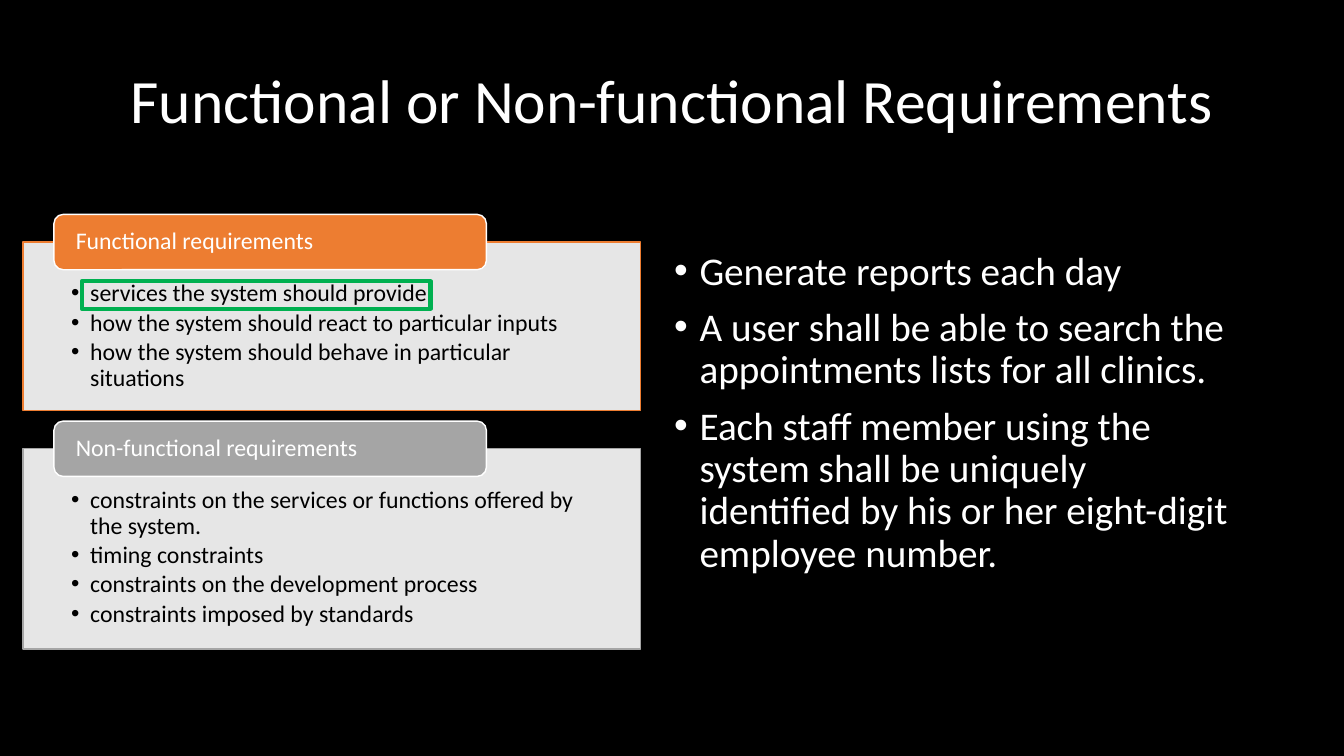
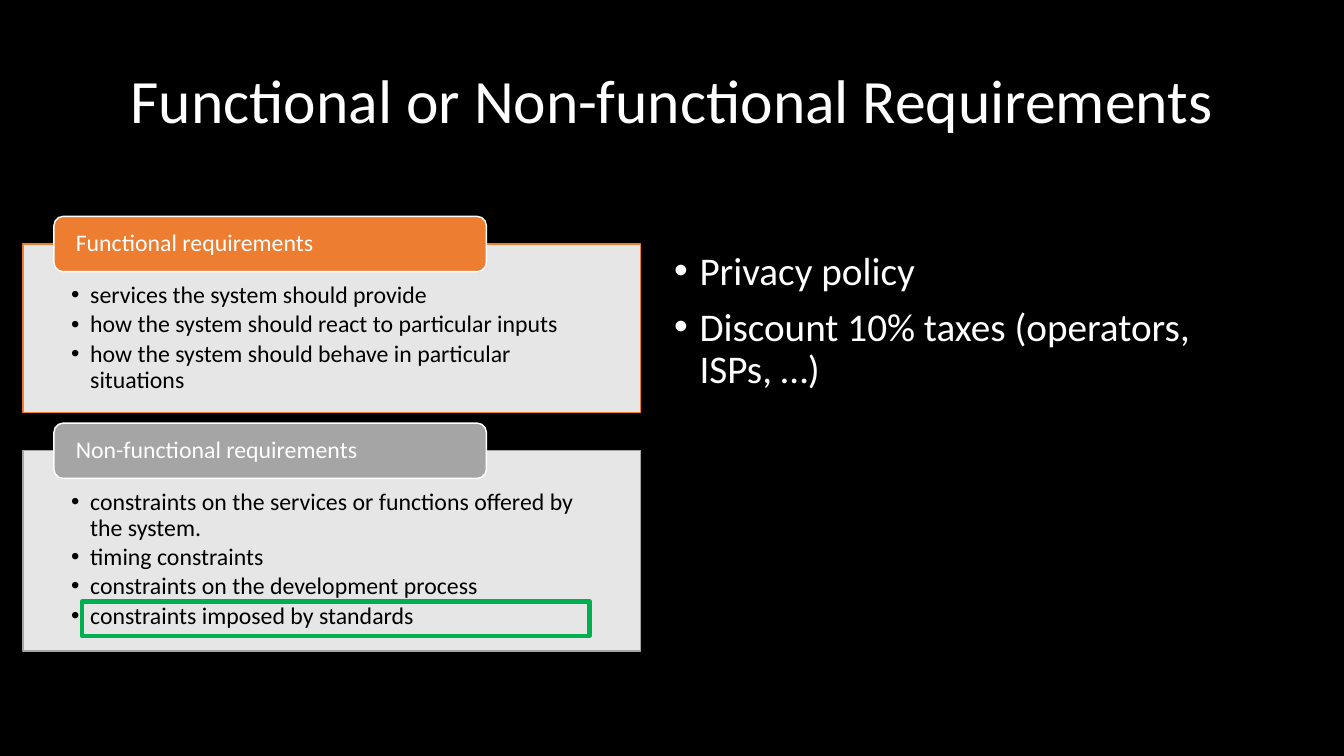
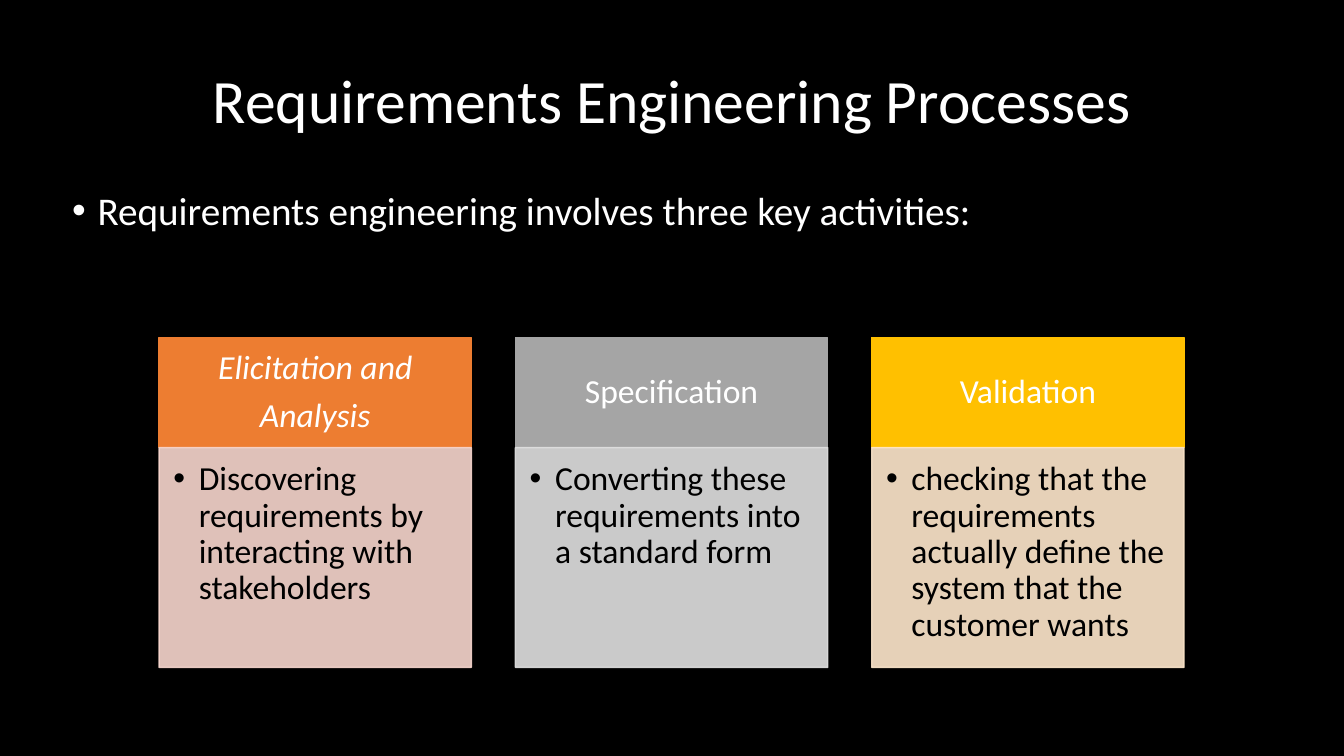
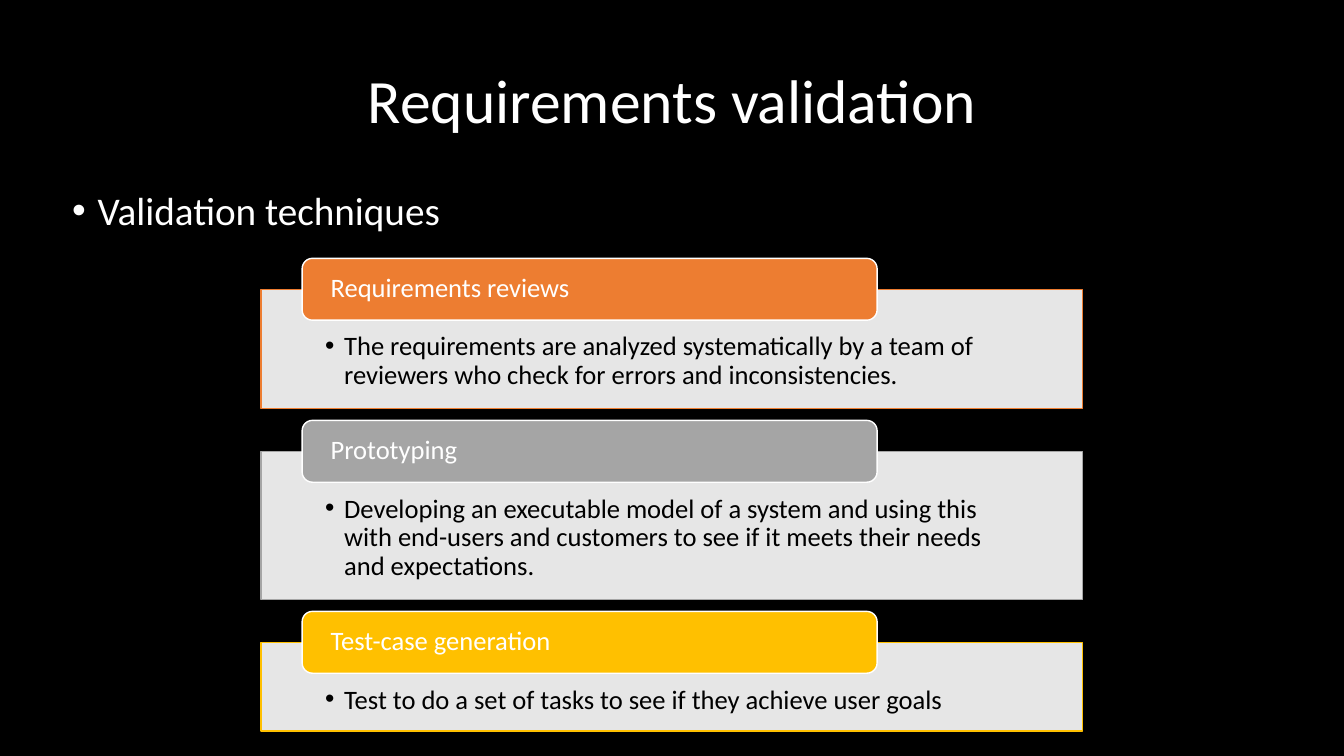
from lxml import etree
from pptx import Presentation
from pptx.dml.color import RGBColor
from pptx.enum import shapes, text
from pptx.oxml import ns
from pptx.util import Cm, Pt

WHITE, BLACK, GREEN = "FFFFFF", "000000", "00B050"
ORANGE, GREY, YELLOW = "ED7D31", "A5A5A5", "FFC000"
FONT = "Calibri"
RECT = shapes.MSO_SHAPE.RECTANGLE
ROUNDED = shapes.MSO_SHAPE.ROUNDED_RECTANGLE
TOP, MIDDLE = text.MSO_ANCHOR.TOP, text.MSO_ANCHOR.MIDDLE
LEFT, CENTER = text.PP_ALIGN.LEFT, text.PP_ALIGN.CENTER


def paint(fill, colour, opacity=100):
    """Fill with a hex colour; None leaves it empty."""
    if colour is None:
        fill.background()
        return
    fill.solid()
    fill.fore_color.rgb = RGBColor.from_string(colour)
    if opacity < 100:
        rgb = fill._xPr.find(".//" + ns.qn("a:srgbClr"))
        etree.SubElement(rgb, ns.qn("a:alpha"), val=str(opacity * 1000))


def add_box(page, kind, place, lines=(), size=28, colour=WHITE, fill=None, edge=None,
            edge_width=1, opacity=100, edge_opacity=100, insets=(0.25, 0.13, 0.25, 0.13),
            anchor=TOP, align=LEFT, bullet=0, before=0, after=0, italic=False):
    """Add a shape, or a text box when kind is None; lengths are in cm."""
    place = [Cm(length) for length in place]
    if kind is None:
        box = page.shapes.add_textbox(*place)
    else:
        box = page.shapes.add_shape(kind, *place)
        box.shadow.inherit = False
        paint(box.fill, fill, opacity)
        paint(box.line.fill, edge, edge_opacity)
        box.line.width = Pt(edge_width)
    frame = box.text_frame
    frame.word_wrap = True
    frame.vertical_anchor = anchor
    frame.margin_left, frame.margin_top, frame.margin_right, frame.margin_bottom = map(Cm, insets)
    for index, line in enumerate(lines):
        para = frame.paragraphs[0] if index == 0 else frame.add_paragraph()
        para.text = line
        para.alignment = align
        para.line_spacing = 0.9
        para.space_before, para.space_after = Pt(before), Pt(after)
        if bullet:
            props = para._p.get_or_add_pPr()
            props.set("marL", str(Cm(bullet)))
            props.set("indent", str(-Cm(bullet)))
            etree.SubElement(props, ns.qn("a:buFont"), typeface="Arial")
            etree.SubElement(props, ns.qn("a:buChar"), char="•")
        para.font.name, para.font.size, para.font.italic = FONT, Pt(size), italic
        paint(para.font.fill, colour)


# Content
wide_body = (1.57, 4.7, 29.97, 12.47)
right_body = (16.74, 6.2, 14.81, 10.97)

kinds_title = "Functional or Non-functional Requirements"
kinds_panels = [
    ("Functional requirements", ORANGE, 4.24, [
        "services the system should provide",
        "how the system should react to particular inputs",
        "how the system should behave in particular situations"]),
    ("Non-functional requirements", GREY, 5.05, [
        "constraints on the services or functions offered by the system.",
        "timing constraints",
        "constraints on the development process",
        "constraints imposed by standards"]),
]
technique_panels = [
    ("Requirements reviews", ORANGE, 3.0, [
        "The requirements are analyzed systematically by a team of reviewers "
        "who check for errors and inconsistencies."]),
    ("Prototyping", GREY, 3.73, [
        "Developing an executable model of a system and using this with end-users "
        "and customers to see if it meets their needs and expectations."]),
    ("Test-case generation", YELLOW, 2.24, [
        "Test to do a set of tasks to see if they achieve user goals"]),
]
activities = [
    (["Elicitation and", "Analysis"], ORANGE, "F8D7CE", True,
     "Discovering requirements by interacting with stakeholders"),
    (["Specification"], GREY, "E1E1E1", False,
     "Converting these requirements into a standard form"),
    (["Validation"], YELLOW, "FFE8CC", False,
     "checking that the requirements actually define the system that the customer wants"),
]

# Each page: title, body place, body lines, panels, panel (left, top, width, text size),
# activity columns, highlight place
pages = [
    (kinds_title, right_body,
     ["Generate reports each day",
      "A user shall be able to search the appointments lists for all clinics.",
      "Each staff member using the system shall be uniquely identified by his or her "
      "eight-digit employee number."],
     kinds_panels, (0.58, 6.1, 15.57, 17), [], (2.06, 7.09, 8.79, 0.69)),
    (kinds_title, right_body,
     ["Privacy policy", "Discount 10% taxes (operators, ISPs, …)"],
     kinds_panels, (0.58, 6.15, 15.57, 17), [], (2.06, 15.16, 12.8, 0.86)),
    ("Requirements Engineering Processes", wide_body,
     ["Requirements engineering involves three key activities:"],
     [], (0, 0, 0, 0), activities, None),
    ("Requirements validation", wide_body, ["Validation techniques"],
     technique_panels, (6.58, 7.29, 20.7, 19), [], None),
]

# Deck with a black background on the master
deck = Presentation()
deck.slide_width, deck.slide_height = Cm(33.87), Cm(19.05)
paint(deck.slide_master.background.fill, BLACK)

for title, body_place, body, panels, (left, top, width, size), columns, highlight in pages:
    page = deck.slides.add_slide(deck.slide_layouts[6])
    add_box(page, None, (2.34, 0.76, 29.21, 3.68), [title], size=44, anchor=MIDDLE, align=CENTER)
    add_box(page, None, body_place, body, bullet=0.64, before=10)

    # Stacked panels, each with a tag centred on its top edge
    tag_height = 0.082 * size
    side = 0.078 * width
    for heading, accent, height, points in panels:
        add_box(page, RECT, (left, top, width, height), points, size=size, colour=BLACK,
                fill=WHITE, opacity=90, edge=accent, bullet=0.48, after=0.15 * size,
                insets=(side, 0.058 * size, side, 0.02 * size))
        add_box(page, ROUNDED, (left + 0.05 * width, top - tag_height / 2, 0.7 * width, tag_height),
                [heading], size=size, fill=accent, edge=WHITE, anchor=MIDDLE,
                insets=(0.031 * width, 0, 0.031 * width, 0))
        top += height + 0.057 * size

    # Activity columns: heading above description
    for index, (heading, accent, tint, italic, description) in enumerate(columns):
        column_left = 4.01 + index * 8.98
        add_box(page, RECT, (column_left, 8.51, 7.87, 2.77), heading, size=24, fill=accent,
                edge=accent, anchor=MIDDLE, align=CENTER, after=8.4, italic=italic,
                insets=(0.48, 0.28, 0.48, 0.28))
        add_box(page, RECT, (column_left, 11.28, 7.87, 5.54), [description], size=24, colour=BLACK,
                fill=tint, opacity=90, edge=tint, edge_opacity=90, bullet=0.64, after=3.6,
                insets=(0.36, 0.36, 0.48, 0.53))

    # Green frame around the matching requirement
    if highlight:
        add_box(page, RECT, highlight, edge=GREEN, edge_width=3)

deck.save("out.pptx")
